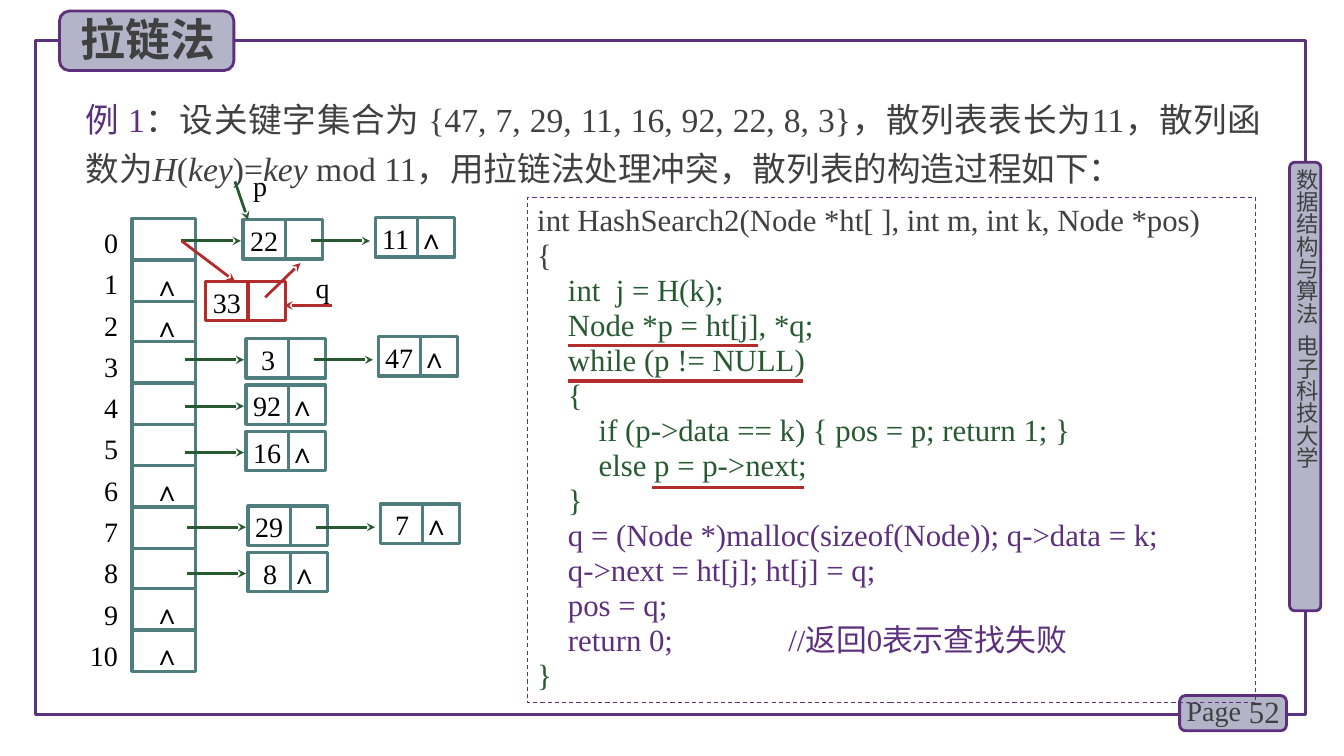
from lxml import etree
from pptx import Presentation
from pptx.dml.color import RGBColor
from pptx.enum.dml import MSO_LINE
from pptx.enum.shapes import MSO_CONNECTOR, MSO_SHAPE
from pptx.enum.text import MSO_ANCHOR, PP_ALIGN
from pptx.oxml.ns import qn
from pptx.util import Pt

PX = 9144  # 100 px to the inch
LATIN, HAN = "Times New Roman", "Noto Sans CJK SC"
RECT, ROUND = MSO_SHAPE.RECTANGLE, MSO_SHAPE.ROUNDED_RECTANGLE
STRAIGHT, DASH = MSO_CONNECTOR.STRAIGHT, MSO_LINE.DASH
LEFT, RIGHT, JUSTIFY = PP_ALIGN.LEFT, PP_ALIGN.RIGHT, PP_ALIGN.JUSTIFY
TOP, MIDDLE = MSO_ANCHOR.TOP, MSO_ANCHOR.MIDDLE

PURPLE = RGBColor(0x5C, 0x30, 0x7D)
FRAME_PURPLE = RGBColor(0x5A, 0x32, 0x7D)
LILAC = RGBColor(0xB4, 0xB4, 0xC8)
GRAY = RGBColor(0x40, 0x40, 0x40)
BLACK = RGBColor(0, 0, 0)
TEAL = RGBColor(0x50, 0x7D, 0x7D)
GREEN = RGBColor(0x28, 0x5A, 0x32)
RED = RGBColor(0xB4, 0x2D, 0x2D)

NIL = "∧"
NODE_W, NODE_H, DATA_W = 79, 39, 42
SLOTS = 11
EMPTY_SLOTS = (1, 2, 6, 9, 10)
# Left and top of the first node, keys of the chain
CHAINS = [
    (241, 218, (22, 11)),
    (244, 336, (3, 47)),
    (244, 382, (92,)),
    (244, 428, (16,)),
    (246, 502, (29, 7)),
    (246, 548, (8,)),
]
INTRO = [
    ("例 1", PURPLE, False),
    ("：设关键字集合为 {47, 7, 29, 11, 16, 92, 22, 8, 3}，散列表表长为11，散列函数为", GRAY, False),
    ("H", GRAY, True),
    ("(", GRAY, False),
    ("key", GRAY, True),
    (")=", GRAY, False),
    ("key", GRAY, True),
    (" mod 11，用拉链法处理冲突，散列表的构造过程如下：", GRAY, False),
]
CODE = [
    ("int HashSearch2(Node *ht[ ], int m, int k, Node *pos)", GRAY),
    ("{", GRAY),
    ("    int  j = H(k);", GREEN),
    ("    Node *p = ht[j], *q;", GREEN),
    ("    while (p != NULL)", GREEN),
    ("    {", GREEN),
    ("        if (p->data == k) { pos = p; return 1; }", GREEN),
    ("        else p = p->next;", GREEN),
    ("    }", GREEN),
    ("    q = (Node *)malloc(sizeof(Node)); q->data = k;", PURPLE),
    ("    q->next = ht[j]; ht[j] = q;", PURPLE),
    ("    pos = q;", PURPLE),
    ("    return 0;               //返回0表示查找失败", PURPLE),
    ("}", GREEN),
]


def set_font(font, size, color, latin=LATIN, bold=False):
    font.size, font.bold, font.name = Pt(size), bold, latin
    font.color.rgb = color
    etree.SubElement(font._rPr, qn("a:ea")).set("typeface", HAN)


def add_box(slide, box, line, width, fill=None, kind=RECT):
    shape = slide.shapes.add_shape(kind, *(v * PX for v in box))
    shape.shadow.inherit = False
    if fill is None:
        shape.fill.background()
    else:
        shape.fill.solid()
        shape.fill.fore_color.rgb = fill
    shape.line.color.rgb = line
    shape.line.width = Pt(width)
    return shape


def prepare_frame(shape, insets=(10, 5, 10, 5), anchor=TOP, wrap=True):
    frame = shape.text_frame
    frame.word_wrap, frame.vertical_anchor = wrap, anchor
    (frame.margin_left, frame.margin_top,
     frame.margin_right, frame.margin_bottom) = (v * PX for v in insets)
    return frame


def add_label(slide, box, text, size, color, latin=LATIN, bold=False, align=LEFT, **layout):
    label = slide.shapes.add_textbox(*(v * PX for v in box))
    paragraph = prepare_frame(label, **layout).paragraphs[0]
    paragraph.text, paragraph.alignment = text, align
    set_font(paragraph.font, size, color, latin, bold)
    return label


def add_line(slide, start, end, color, width=2.25, arrow=False):
    line = slide.shapes.add_connector(STRAIGHT, *(v * PX for v in (*start, *end)))
    line.line.color.rgb = color
    line.line.width = Pt(width)
    if arrow:
        etree.SubElement(line.line._get_or_add_ln(), qn("a:tailEnd")).set("type", "stealth")
    etree.SubElement(line._element.spPr, qn("a:effectLst"))


def add_arrow(slide, start, end, color=GREEN):
    add_line(slide, start, end, color, 2, True)


def add_page_frame(slide, left, top, width, height):
    add_box(slide, (left, top, width, height), FRAME_PURPLE, 2.25)
    right, bottom = left + width, top + height
    # Course name on the right edge
    add_box(slide, (right - 16, top + 121, 31, 445), PURPLE, 2, LILAC, ROUND)
    course = add_label(slide, (right - 12, top + 127, 27, 449), "数据结构与算法  电子科技大学",
                       16, GRAY, HAN, insets=(0, 0, 0, 0))
    course.text_frame._txBody.bodyPr.set("vert", "eaVert")
    # Page number on the bottom edge
    add_box(slide, (right - 125, bottom - 19, 106, 35), PURPLE, 2, LILAC, ROUND)
    add_label(slide, (right - 75, bottom - 23, 59, 40), "52", 22, GRAY, align=RIGHT, anchor=MIDDLE)
    add_label(slide, (right - 128, bottom - 26, 78, 44), "Page", 20, GRAY)
    # Title on the top edge
    add_box(slide, (left + 24, top - 29, 173, 59), PURPLE, 2, LILAC, ROUND)
    add_label(slide, (left + 35, top - 33, 164, 64), "拉链法", 32, GRAY, HAN, True)


def add_intro(slide, left, top, width, height):
    intro = slide.shapes.add_textbox(left * PX, top * PX, width * PX, height * PX)
    paragraph = prepare_frame(intro).paragraphs[0]
    paragraph.alignment, paragraph.line_spacing = JUSTIFY, Pt(35)
    for text, color, italic in INTRO:
        run = paragraph.add_run()
        run.text = text
        set_font(run.font, 24, color)
        run.font.italic = italic


def add_node(slide, left, top, key, is_last, color=TEAL):
    node = add_box(slide, (left, top, NODE_W, NODE_H), color, 2.25)
    inset = 7 if key > 9 else 15
    paragraph = prepare_frame(node, (inset, 2, 0, 0), MIDDLE).paragraphs[0]
    paragraph.alignment = LEFT
    if is_last:
        tabs = etree.SubElement(paragraph._p.get_or_add_pPr(), qn("a:tabLst"))
        etree.SubElement(tabs, qn("a:tab"), pos=str((DATA_W - inset) * PX), algn="l")
    paragraph.text = f"{key}\t{NIL}" if is_last else str(key)
    set_font(paragraph.font, 20, BLACK)
    add_line(slide, (left + DATA_W, top), (left + DATA_W, top + NODE_H), color)


def add_hash_table(slide, left, top, width, height):
    # Slot numbers
    numbers = slide.shapes.add_textbox((left - 53) * PX, (top - 1) * PX, 39 * PX, 433 * PX)
    frame = prepare_frame(numbers, (0, 0, 0, 0))
    for slot in range(SLOTS):
        paragraph = frame.paragraphs[0] if slot == 0 else frame.add_paragraph()
        paragraph.text, paragraph.alignment, paragraph.line_spacing = str(slot), RIGHT, 1.23
        set_font(paragraph.font, 20, BLACK)
    # Slots
    add_box(slide, (left, top, width, height), TEAL, 2.25)
    for slot in range(1, SLOTS):
        y = top + round(height * slot / SLOTS)
        add_line(slide, (left, y), (left + width, y), TEAL)
        if slot in EMPTY_SLOTS:
            add_label(slide, (left + 11, y + 3, 48, 43), NIL, 20, BLACK, wrap=False)
    # Chains
    for x, y, keys in CHAINS:
        for i, key in enumerate(keys):
            add_node(slide, x + 131 * i, y - 2 * i, key, i == len(keys) - 1)
            arrow_x = x - 61 + 128 * i
            add_arrow(slide, (arrow_x, y + 21), (arrow_x + 59, y + 21))


def add_insertion(slide, left, top):
    """Node 33 enters at the head of slot 0; pointers p and q mark the nodes."""
    add_arrow(slide, (left + 29, top - 99), (left + 42, top - 61))
    add_label(slide, (left + 32, top - 114, 50, 42), "p", 20, BLACK, insets=(15, 2, 0, 0))
    add_node(slide, left, top, 33, False, RED)
    add_arrow(slide, (left + 125, top + 24), (left + 78, top + 24), RED)
    add_label(slide, (left + 94, top - 13, 50, 42), "q", 20, BLACK, insets=(15, 2, 0, 0))
    add_arrow(slide, (left - 24, top - 40), (left + 29, top), RED)
    add_arrow(slide, (left + 59, top + 16), (left + 94, top - 18), RED)


def add_code(slide, left, top, width, height):
    listing = add_box(slide, (left, top, width, height), PURPLE, 0.75)
    listing.line.dash_style = DASH
    frame = prepare_frame(listing)
    for i, (text, color) in enumerate(CODE):
        paragraph = frame.paragraphs[0] if i == 0 else frame.add_paragraph()
        paragraph.text, paragraph.alignment, paragraph.line_spacing = text, LEFT, Pt(25)
        set_font(paragraph.font, 22, color)
    # Underlined steps
    for x, y, length in ((40, 147, 189), (40, 182, 233), (124, 288, 150)):
        add_line(slide, (left + x, top + y), (left + x + length, top + y), RED)


def main():
    deck = Presentation()
    deck.slide_width, deck.slide_height = 1333 * PX, 750 * PX
    slide = deck.slides.add_slide(deck.slide_layouts[6])
    add_page_frame(slide, 35, 40, 1260, 669)
    add_intro(slide, 75, 85, 1186, 104)
    add_hash_table(slide, 131, 217, 63, 449)
    add_code(slide, 523, 196, 722, 501)
    add_insertion(slide, 204, 279)
    deck.save("out.pptx")


if __name__ == "__main__":
    main()
